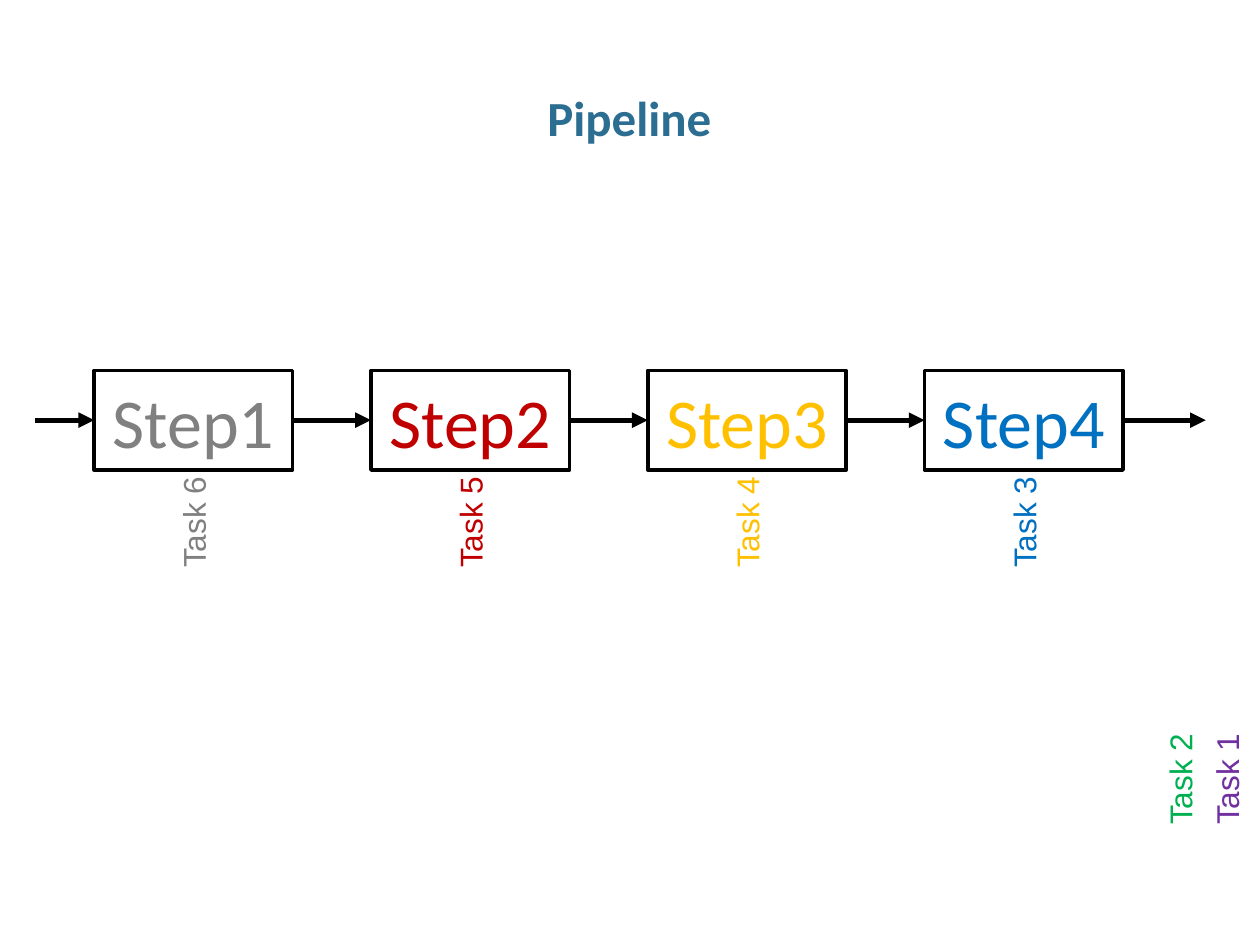
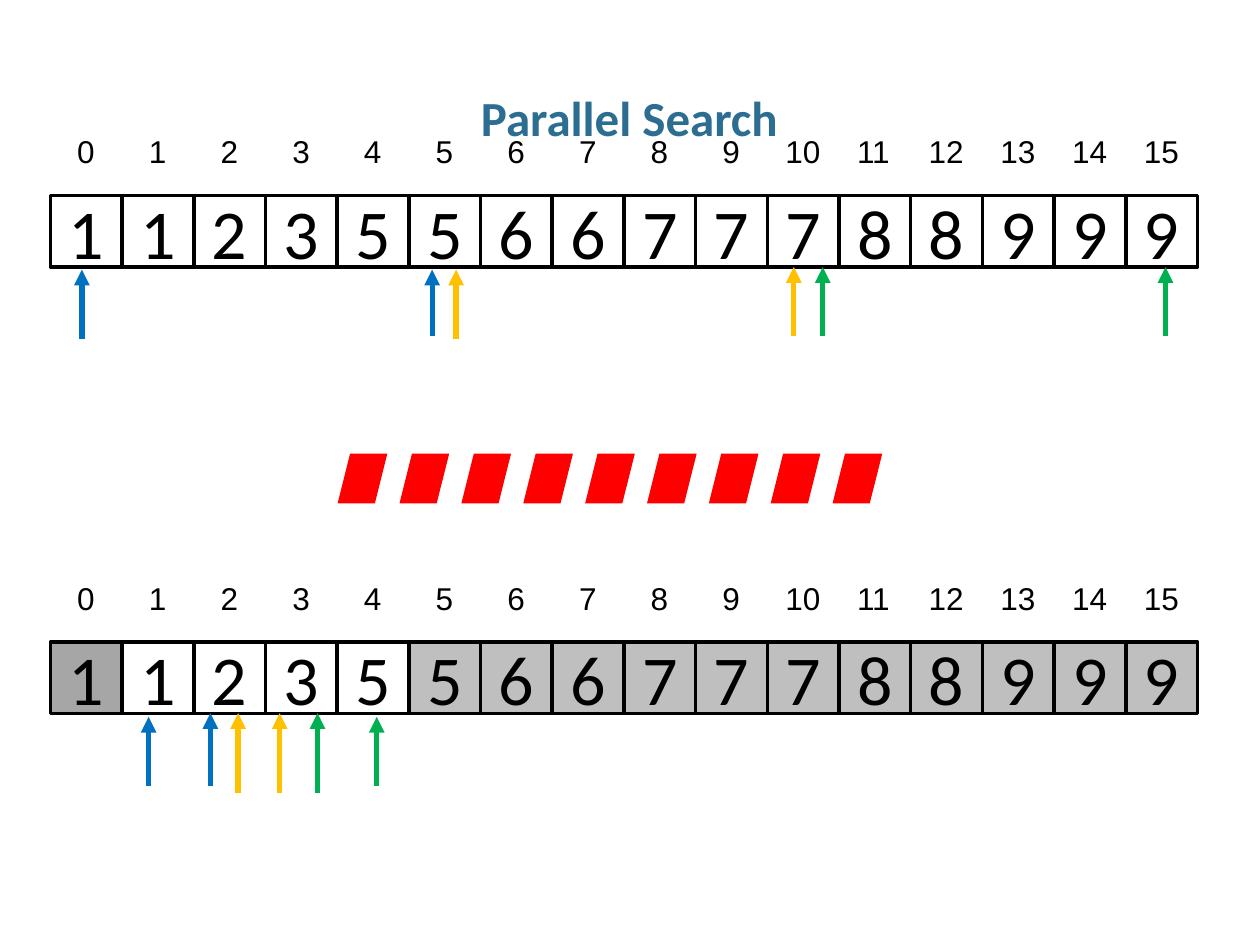
from lxml import etree
from pptx import Presentation
from pptx.dml.color import RGBColor
from pptx.enum.shapes import MSO_CONNECTOR, MSO_SHAPE
from pptx.enum.text import MSO_ANCHOR, MSO_AUTO_SIZE, PP_ALIGN
from pptx.oxml.ns import qn
from pptx.util import Inches, Pt

RECT, SLANT = MSO_SHAPE.RECTANGLE, MSO_SHAPE.PARALLELOGRAM
STRAIGHT = MSO_CONNECTOR.STRAIGHT
TOP, MIDDLE = MSO_ANCHOR.TOP, MSO_ANCHOR.MIDDLE
LEFT, CENTER = PP_ALIGN.LEFT, PP_ALIGN.CENTER
FIT_SHAPE = MSO_AUTO_SIZE.SHAPE_TO_FIT_TEXT

COLORS = {
    "title": "2C6D92", "black": "000000", "gray": "808080", "crimson": "C00000",
    "gold": "FFC000", "blue": "0070C0", "green": "00B050", "purple": "7030A0",
    "red": "FF0000", "dark": "A6A6A6", "light": "BFBFBF",
}
COLUMNS, ROWS = 100, 75  # grid over the whole slide
BLANK = 6


def rgb(name):
    return RGBColor.from_string(COLORS[name])


def write(sp, text, size=18, font="Arial", color="black", bold=False,
          align=LEFT, anchor=TOP, wrap=True, spacing=None):
    tf = sp.text_frame
    tf.word_wrap = wrap
    tf.vertical_anchor = anchor
    p = tf.paragraphs[0]
    p.alignment = align
    if spacing:
        p.line_spacing = spacing
    r = p.add_run()
    r.text = text
    r.font.size, r.font.name, r.font.bold = Pt(size), font, bold
    r.font.color.rgb = rgb(color)


class Deck:
    """Holds the shared style and the current slide."""

    def __init__(self):
        self.prs = Presentation()
        self.prs.slide_width, self.prs.slide_height = Inches(10), Inches(7.5)
        self.col = self.prs.slide_width / COLUMNS
        self.row = self.prs.slide_height / ROWS

    def grid(self, x, y):
        return round(x * self.col), round(y * self.row)

    def frame(self, x, y, w, h):
        return *self.grid(x, y), *self.grid(w, h)

    def new_slide(self, title):
        self.shapes = self.prs.slides.add_slide(self.prs.slide_layouts[BLANK]).shapes
        sp = self.shapes.add_textbox(*self.frame(3.4, 6.8, 93.1, 5))
        sp.text_frame.margin_left = sp.text_frame.margin_right = 0
        write(sp, title, size=28, font="Calibri", color="title", bold=True,
              align=CENTER, spacing=0.95)

    def shape(self, kind, x, y, w, h, fill=None, line=None):
        sp = self.shapes.add_shape(kind, *self.frame(x, y, w, h))
        sp.shadow.inherit = False
        if fill:
            sp.fill.solid()
            sp.fill.fore_color.rgb = rgb(fill)
        else:
            sp.fill.background()
        if line:
            sp.line.color.rgb = rgb(line)
            sp.line.width = Pt(2)
        else:
            sp.line.fill.background()
        return sp

    def box(self, text, x, y, w, h, color="black", fill=None):
        sp = self.shape(RECT, x, y, w, h, fill, line="black")
        write(sp, text, size=40, font="Calibri", color=color, align=CENTER, anchor=MIDDLE)

    def label(self, text, center_x, center_y, w, color="black", rotation=0):
        h = 4
        sp = self.shapes.add_textbox(*self.frame(center_x - w / 2, center_y - h / 2, w, h))
        sp.rotation = rotation
        write(sp, text, color=color, wrap=False)
        sp.text_frame.auto_size = FIT_SHAPE

    def arrow(self, x1, y1, x2, y2, color="black"):
        cx = self.shapes.add_connector(STRAIGHT, *self.grid(x1, y1), *self.grid(x2, y2))
        cx.line.color.rgb = rgb(color)
        cx.line.width = Pt(3)
        ln = cx.line.fill._xPr
        etree.SubElement(ln, qn("a:tailEnd"), type="triangle")
        etree.SubElement(ln.getparent(), qn("a:effectLst"))

    def array(self, values, y, fills):
        """A row of cells with the index above each one."""
        left, side = 4, 5.69
        for i, value in enumerate(values):
            self.box(value, left + i * side, y, side, side, fill=fills[i])
        for i in range(len(values)):
            self.label(str(i), left + (i + 0.5) * side, y - 3.5, 3.4 if i < 10 else 4.8)


def pipeline(deck):
    deck.new_slide("Pipeline")
    # Steps
    colors = ["gray", "crimson", "gold", "blue"]
    top, width, height = 29.4, 15.75, 7.9
    lefts = [7.47 + 21.97 * i for i in range(len(colors))]
    for i, (x, color) in enumerate(zip(lefts, colors), 1):
        deck.box(f"Step{i}", x, top, width, height, color=color)
    # Flow through the steps
    starts = [2.8] + [x + width for x in lefts]
    middle = top + height / 2
    for start, end in zip(starts, lefts + [95.7]):
        deck.arrow(start, middle, end, middle)
    # Finished tasks, then the task at each step
    tasks = [(97.35, 61.8, "purple"), (93.65, 61.8, "green")]
    tasks += [(x + width / 2, 41.4, c) for x, c in zip(lefts[::-1], colors[::-1])]
    for i, (x, y, color) in enumerate(tasks, 1):
        deck.label(f"Task {i}", x, y, 9.3, color=color, rotation=270)


def parallel_search(deck):
    deck.new_slide("Parallel Search")
    values = "1123556677788999"
    # Each arrow: x, tail y, head y, colour of its searcher
    first_bounds = [
        (34.3, 26.7, 21.4, "blue"), (63, 26.7, 21.2, "gold"), (92.5, 26.7, 21.2, "green"),
        (6.5, 26.9, 21.4, "blue"), (36.2, 26.9, 21.4, "gold"), (65.3, 26.7, 21.2, "green"),
    ]
    next_bounds = [
        (16.7, 62.4, 56.6, "blue"), (22.2, 62.9, 56.6, "gold"), (29.9, 62.4, 56.9, "green"),
        (11.8, 62.4, 56.9, "blue"), (18.9, 62.9, 56.6, "gold"), (25.2, 62.9, 56.6, "green"),
    ]
    narrowed = ["dark"] + [None] * 4 + ["light"] * 11
    # Whole array, then the part left to search
    for y, fills, bounds in [(15.5, [None] * 16, first_bounds), (50.95, narrowed, next_bounds)]:
        deck.array(values, y, fills)
        for x, tail, head, color in bounds:
            deck.arrow(x, tail, x, head, color)
    # Divider
    for i in range(9):
        deck.shape(SLANT, 26.8 + 4.91 * i, 36, 3.94, 3.94, fill="red")


def main():
    deck = Deck()
    pipeline(deck)
    parallel_search(deck)
    deck.prs.save("out.pptx")


if __name__ == "__main__":
    main()
